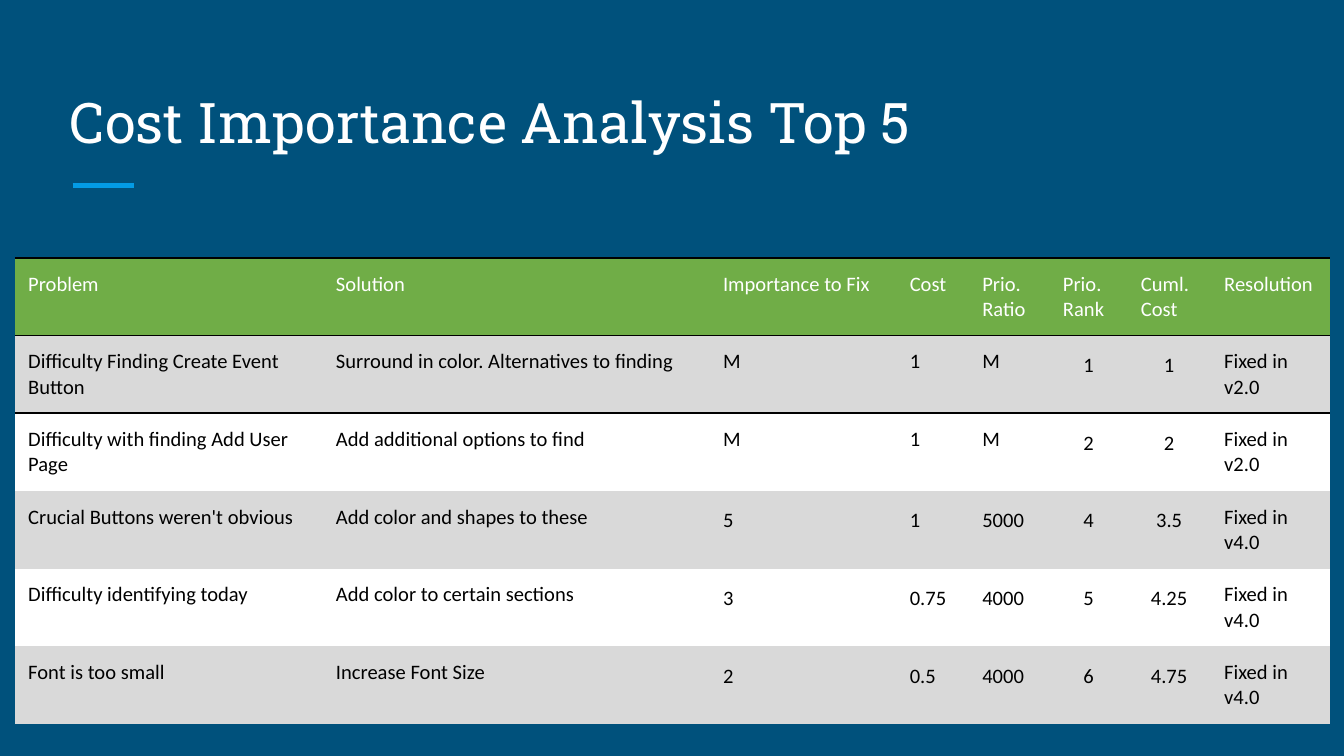
from lxml import etree
from pptx import Presentation
from pptx.dml.color import RGBColor
from pptx.enum.shapes import MSO_CONNECTOR
from pptx.enum.text import MSO_ANCHOR, PP_ALIGN
from pptx.oxml import parse_xml
from pptx.oxml.ns import nsdecls, qn
from pptx.util import Inches, Pt

STRAIGHT = MSO_CONNECTOR.STRAIGHT
BOTTOM = MSO_ANCHOR.BOTTOM
LEFT, CENTER = PP_ALIGN.LEFT, PP_ALIGN.CENTER
NO_STYLE = "{2D5ABB26-0587-4C30-8999-92F81FD0307C}"
TITLE_ONLY = 5

COLORS = {
    "background": "00517C",
    "accent": "039BE5",
    "header": "70AD47",
    "band": "D9D9D9",
    "white": "FFFFFF",
    "black": "000000",
}
COLUMNS = [2.29, 2.88, 1.39, 0.54, 0.6, 0.58, 0.62, 0.89]
ROW_HEIGHT = 0.56
INSET = Inches(0.1)
CENTERED_COLUMNS = (5, 6)
ROWS = [
    ["Problem", "Solution", "Importance to Fix", "Cost",
     "Prio. Ratio", "Prio. Rank", "Cuml. Cost", "Resolution"],
    ["Difficulty Finding Create Event Button",
     "Surround in color. Alternatives to finding",
     "M", "1", "M", "1", "1", "Fixed in v2.0"],
    ["Difficulty with finding Add User Page", "Add additional options to find",
     "M", "1", "M", "2", "2", "Fixed in v2.0"],
    ["Crucial Buttons weren't obvious", "Add color and shapes to these",
     "5", "1", "5000", "4", "3.5", "Fixed in v4.0"],
    ["Difficulty identifying today", "Add color to certain sections",
     "3", "0.75", "4000", "5", "4.25", "Fixed in v4.0"],
    ["Font is too small", "Increase Font Size",
     "2", "0.5", "4000", "6", "4.75", "Fixed in v4.0"],
]


def color(name):
    return RGBColor.from_string(COLORS[name])


def format_text(holder, frame, font, size, color_name):
    """Set the insets of a cell or text frame and the font of its runs."""
    holder.margin_left = holder.margin_right = INSET
    holder.margin_top = holder.margin_bottom = INSET
    for para in frame.paragraphs:
        for span in para.runs:
            span.font.name = font
            span.font.size = Pt(size)
            span.font.color.rgb = color(color_name)


deck = Presentation()
deck.slide_width = Inches(10)
deck.slide_height = deck.slide_width * 9 // 16
page = deck.slides.add_slide(deck.slide_layouts[TITLE_ONLY])
page.background.fill.solid()
page.background.fill.fore_color.rgb = color("background")

# Title and the short rule below it
title = page.shapes.title
title.left, title.top = Inches(0.42), Inches(0.5)
title.width, title.height = Inches(9.15), Inches(0.75)
title.text_frame.text = "Cost Importance Analysis Top 5"
title.text_frame.vertical_anchor = BOTTOM
title.text_frame.paragraphs[0].alignment = LEFT
format_text(title.text_frame, title.text_frame, "Roboto Slab", 30, "white")

rule = page.shapes.add_connector(
    STRAIGHT, Inches(0.54), Inches(1.38), Inches(1), Inches(1.38))
rule.line.color.rgb = color("accent")
rule.line.width = Pt(3)
etree.SubElement(rule._element.spPr, qn("a:effectLst"))

# Table of problems
frame = page.shapes.add_table(
    len(ROWS), len(COLUMNS), Inches(0.11), Inches(1.92),
    Inches(sum(COLUMNS)), Inches(ROW_HEIGHT * len(ROWS)))
table = frame.table
table._tbl.tblPr.find(qn("a:tableStyleId")).text = NO_STYLE
for column, width in zip(table.columns, COLUMNS):
    column.width = Inches(width)

for r, texts in enumerate(ROWS):
    table.rows[r].height = Inches(ROW_HEIGHT)
    fill = "header" if r == 0 else "band" if r % 2 else "white"
    # The header and the first problem are ruled above and below
    edges = ["lnT", "lnB"] if r < 2 else []
    for c, text in enumerate(texts):
        cell = table.cell(r, c)
        cell.fill.solid()
        cell.fill.fore_color.rgb = color(fill)
        cell.text_frame.text = text
        format_text(cell, cell.text_frame, "Calibri", 11,
                    "black" if r else "white")

        para = cell.text_frame.paragraphs[0]
        centered = r > 0 and c in CENTERED_COLUMNS
        if centered:
            para.alignment = CENTER
        if centered or (r > 2 and 2 <= c <= 4):
            para.line_spacing = 1.15

        for position, edge in enumerate(edges):
            cell._tc.tcPr.insert(position, parse_xml(
                f'<a:{edge} {nsdecls("a")} w="{Pt(1)}"><a:solidFill>'
                f'<a:srgbClr val="{COLORS["black"]}"/></a:solidFill></a:{edge}>'))

deck.save("out.pptx")
